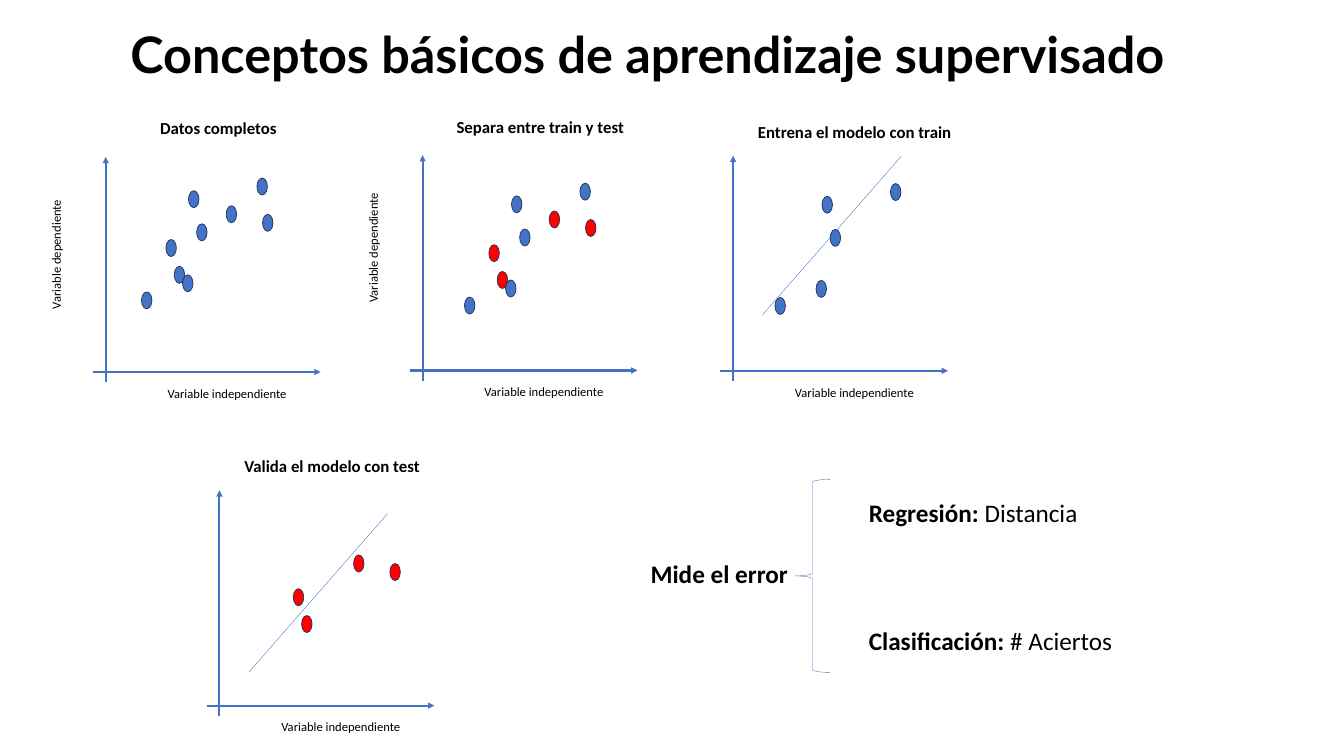
import pptx
import pptx.dml.color
import pptx.enum.shapes
import pptx.enum.text
import pptx.oxml
import pptx.oxml.ns
import pptx.util

Cm = pptx.util.Cm
Pt = pptx.util.Pt
SHAPE = pptx.enum.shapes.MSO_SHAPE
BLUE, RED, NAVY, BLACK = "4472C4", "FF0000", "1E3256", "000000"

OBSERVATIONS = [
    (4.17, -9.14, "train"), (4.58, -7.47, "train"), (6.07, -8.38, "test"),
    (3.03, -6.68, "test"), (3.45, -5.33, "test"), (1.80, -4.04, "train"),
    (7.62, -9.78, "train"), (3.87, -4.90, "train"), (7.90, -7.95, "test"),
]
BOTH = {"train", "test"}

PANELS = [
    dict(origin=(5.33, 18.75), heading=("Datos completos", 7.82, 5.82, 6.45),
         shift=(0, 0), subsets=BOTH, test_color=BLUE, dependent_top=-6.55),
    dict(origin=(21.3, 18.67), heading=("Separa entre train y test", 22.76, 5.77, 9.04),
         shift=(0.31, 0.34), subsets=BOTH, dependent_top=-6.81),
    dict(origin=(36.95, 18.69), heading=("Entrena el modelo con train", 37.95, 5.99, 10.34),
         shift=(0.31, 0.34), subsets={"train"}, fit_start=-2.82),
    dict(origin=(11.06, 35.56), heading=("Valida el modelo con test", 12.07, 22.86, 9.45),
         shift=(0.69, 0.79), subsets={"test"}, fit_start=-1.68),
]


def color(hex_code):
    return pptx.dml.color.RGBColor.from_string(hex_code)


class Board:
    def __init__(self, slide, font="Calibri"):
        self.slide = slide
        self.font = font

    def text(self, parts, left, top, width, height, size, font=None, wrap=False, rotation=0):
        box = self.slide.shapes.add_textbox(Cm(left), Cm(top), Cm(width), Cm(height))
        box.rotation = rotation
        frame = box.text_frame
        frame.word_wrap = wrap
        if not wrap:
            frame.auto_size = pptx.enum.text.MSO_AUTO_SIZE.SHAPE_TO_FIT_TEXT
        paragraph = frame.paragraphs[0]
        for wording, bold in parts:
            run = paragraph.add_run()
            run.text = wording
            run.font.name = font or self.font
            run.font.size = Pt(size)
            run.font.bold = bold
            run.font.color.rgb = color(BLACK)
        return frame

    def title(self, wording):
        frame = self.text([(wording, True)], 6.32, 1.47, 53.77, 2.84, 72, "Lato", wrap=True)
        frame.vertical_anchor = pptx.enum.text.MSO_ANCHOR.MIDDLE
        frame.paragraphs[0].line_spacing = 0.9

    def line(self, x1, y1, x2, y2, weight, arrow=False):
        connector = self.slide.shapes.add_connector(
            pptx.enum.shapes.MSO_CONNECTOR.STRAIGHT, Cm(x1), Cm(y1), Cm(x2), Cm(y2))
        connector.line.color.rgb = color(BLUE)
        connector.line.width = Pt(weight)
        if arrow:
            head = pptx.oxml.parse_xml(
                f'<a:tailEnd {pptx.oxml.ns.nsdecls("a")} type="triangle"/>')
            connector.line._get_or_add_ln().append(head)
        properties = connector._element.spPr
        properties.append(pptx.oxml.parse_xml(f'<a:effectLst {pptx.oxml.ns.nsdecls("a")}/>'))

    def shape(self, kind, left, top, width, height, outline, weight, fill=None):
        shape = self.slide.shapes.add_shape(kind, Cm(left), Cm(top), Cm(width), Cm(height))
        shape.shadow.inherit = False
        shape.line.color.rgb = color(outline)
        shape.line.width = Pt(weight)
        if fill:
            shape.fill.solid()
            shape.fill.fore_color.rgb = color(fill)
        else:
            shape.fill.background()

    def panel(self, origin, heading, shift, subsets, test_color=RED,
              dependent_top=None, fit_start=None):
        x, y = origin
        wording, left, top, width = heading
        self.text([(wording, True)], left, top, width, 1.27, 24)
        self.line(x, y + 0.51, x, y - 10.85, 3, arrow=True)
        self.line(x - 0.65, y, x + 10.83, y, 3, arrow=True)
        self.text([("Variable independiente", False)], x + 2.87, y + 0.56, 6.58, 1.02, 18)
        if dependent_top is not None:
            self.text([("Variable dependiente", False)], x - 5.63, y + dependent_top,
                      6.25, 1.02, 18, rotation=270)
        if fit_start is not None:
            self.line(x + 1.48, y + fit_start, x + 8.47, y + fit_start - 7.99, 0.5)
        fills = {"train": BLUE, "test": test_color}
        for dx, dy, subset in OBSERVATIONS:
            if subset in subsets:
                self.shape(SHAPE.OVAL, x + dx + shift[0], y + dy + shift[1],
                           0.53, 0.86, NAVY, 1, fills[subset])


def main():
    presentation = pptx.Presentation()
    presentation.slide_width = Cm(67.74)
    presentation.slide_height = Cm(38.1)
    board = Board(presentation.slides.add_slide(presentation.slide_layouts[6]))

    board.title("Conceptos básicos de aprendizaje supervisado")
    for panel in PANELS:
        board.panel(**panel)

    board.text([("Mide el error", True)], 32.54, 28.02, 7.52, 1.8, 36)
    board.shape(SHAPE.LEFT_BRACE, 40.06, 24.16, 1.78, 9.73, BLUE, 0.5)
    board.text([("Regresión: ", True), ("Distancia", False)], 43.54, 24.92, 11.28, 1.8, 36)
    board.text([("Clasificación: ", True), ("# Aciertos", False)], 43.54, 31.37, 13.03, 1.8, 36)

    presentation.save("out.pptx")


if __name__ == "__main__":
    main()
